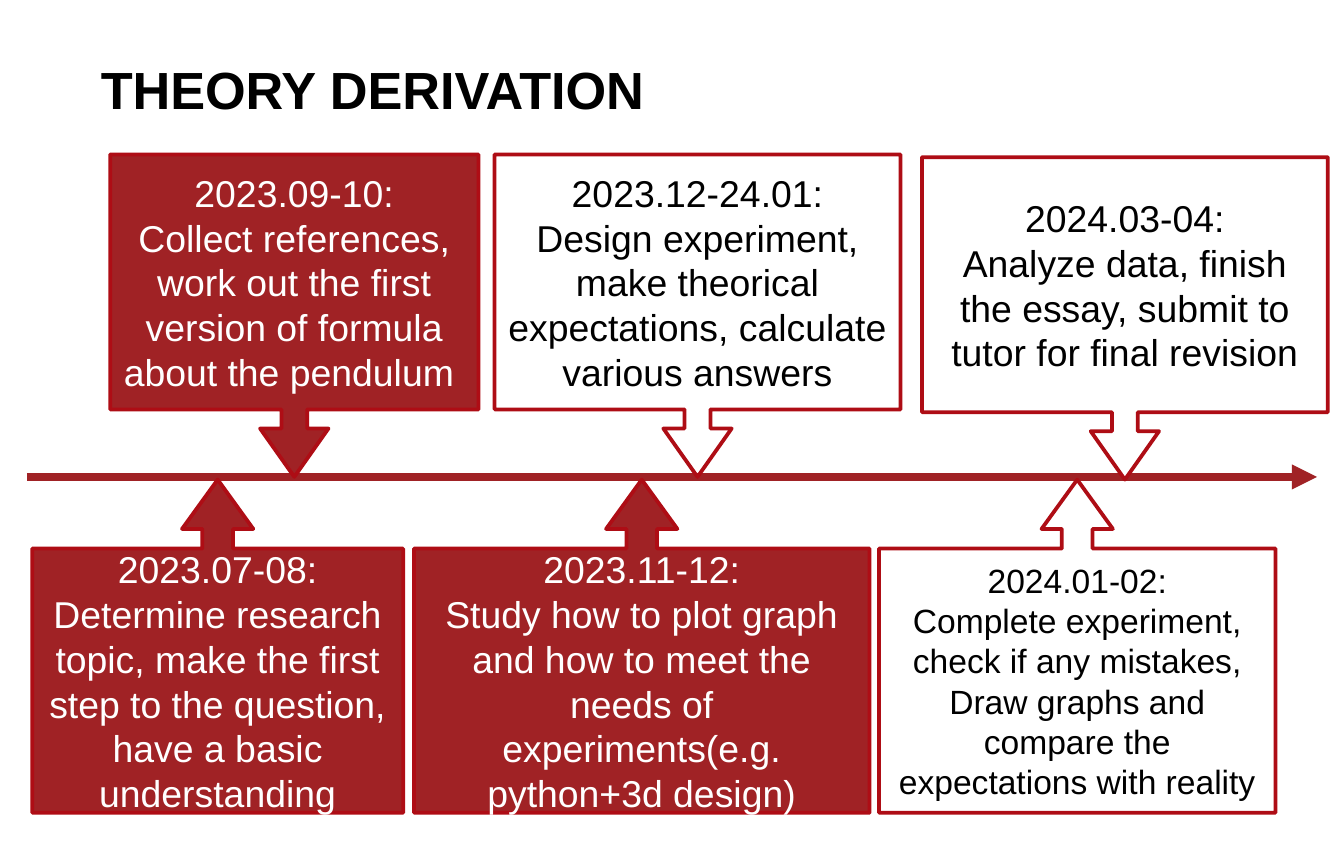
import pptx
import pptx.dml.color
import pptx.enum.shapes
import pptx.enum.text
import pptx.oxml
import pptx.oxml.ns
import pptx.util
from pptx.util import Inches

COLORS = {"red": "A02225", "outline": "AE0D15", "white": "FFFFFF", "black": "000000"}
FONT = "Arial"
SHAPES = pptx.enum.shapes.MSO_SHAPE
ALIGN = pptx.enum.text.PP_ALIGN
ANCHOR = pptx.enum.text.MSO_ANCHOR

# Preset shape and its adjustments, for callouts above and below the axis
ABOVE = (SHAPES.DOWN_ARROW_CALLOUT, (0.08, 0.106, 0.15, 0.791))
BELOW = (SHAPES.UP_ARROW_CALLOUT, (0.092, 0.107, 0.148, 0.793))

# Side, box (left, top, width, height), fill, text colour, text size, paragraphs
STAGES = [
    (BELOW, (0.24, 3.57, 2.76, 2.48), "red", "white", 20,
     ["2023.07-08:",
      "Determine research topic, make the first step to the question,",
      "have a basic understanding"]),
    (ABOVE, (0.82, 1.15, 2.74, 2.4), "red", "white", 20,
     ["2023.09-10:",
      "Collect references, work out the first version of formula about the pendulum "]),
    (BELOW, (3.08, 3.57, 3.39, 2.48), "red", "white", 20,
     ["2023.11-12:",
      "Study how to plot graph and how to meet the needs of experiments"
      "(e.g. python+3d design)"]),
    (ABOVE, (3.68, 1.15, 3.02, 2.4), None, "black", 20,
     ["2023.12-24.01:",
      "Design experiment, make theorical expectations, calculate various answers"]),
    (BELOW, (6.54, 3.57, 2.95, 2.48), None, "black", 18,
     ["2024.01-02:",
      "Complete experiment, check if any mistakes,",
      "Draw graphs and compare the expectations with reality"]),
    (ABOVE, (6.86, 1.17, 3.02, 2.4), "white", "black", 20,
     ["2024.03-04:",
      "Analyze data, finish the essay, submit to tutor for final revision"]),
]


def color(name):
    return pptx.dml.color.RGBColor.from_string(COLORS[name])


def add_span(para, text, size, color_name, bold=False):
    span = para.add_run()
    span.text = text
    span.font.name = FONT
    span.font.size = pptx.util.Pt(size)
    span.font.bold = bold
    span.font.color.rgb = color(color_name)


def add_time_axis(page, left, top, width):
    axis = page.shapes.add_connector(
        pptx.enum.shapes.MSO_CONNECTOR.STRAIGHT,
        Inches(left), Inches(top), Inches(left + width), Inches(top))
    axis.line.color.rgb = color("red")
    axis.line.width = pptx.util.Pt(4.5)
    arrowhead = pptx.oxml.parse_xml(
        f'<a:tailEnd {pptx.oxml.ns.nsdecls("a")} type="triangle"/>')
    axis.line._get_or_add_ln().append(arrowhead)
    axis._element.spPr.append(
        pptx.oxml.parse_xml(f'<a:effectLst {pptx.oxml.ns.nsdecls("a")}/>'))


def add_stage(page, side, box, fill, text_color, size, lines):
    preset, adjustments = side
    callout = page.shapes.add_shape(preset, *map(Inches, box))
    callout.shadow.inherit = False
    for index, value in enumerate(adjustments):
        callout.adjustments[index] = value
    if fill:
        callout.fill.solid()
        callout.fill.fore_color.rgb = color(fill)
    else:
        callout.fill.background()
    callout.line.color.rgb = color("outline")
    callout.line.width = pptx.util.Pt(2)
    frame = callout.text_frame
    frame.word_wrap = True
    frame.vertical_anchor = ANCHOR.MIDDLE
    for index, line in enumerate(lines):
        para = frame.add_paragraph() if index else frame.paragraphs[0]
        para.alignment = ALIGN.CENTER
        add_span(para, line, size, text_color)


def add_title(page, box, text):
    title = page.shapes.add_textbox(*map(Inches, box))
    frame = title.text_frame
    frame.word_wrap = True
    frame.auto_size = pptx.enum.text.MSO_AUTO_SIZE.SHAPE_TO_FIT_TEXT
    frame.margin_left = frame.margin_right = 0
    frame.margin_top = frame.margin_bottom = 0
    para = frame.paragraphs[0]
    para.alignment = ALIGN.JUSTIFY
    para.line_spacing = 1.2
    add_span(para, text, 28, "black", bold=True)


def main():
    deck = pptx.Presentation()
    deck.slide_width, deck.slide_height = Inches(10), Inches(6.26)
    page = deck.slides.add_slide(deck.slide_layouts[6])
    add_time_axis(page, 0.2, 3.55, 9.6)
    for stage in STAGES:
        add_stage(page, *stage)
    add_title(page, (0.75, 0.33, 5.51, 0.51), "THEORY DERIVATION")
    deck.save("out.pptx")


if __name__ == "__main__":
    main()
